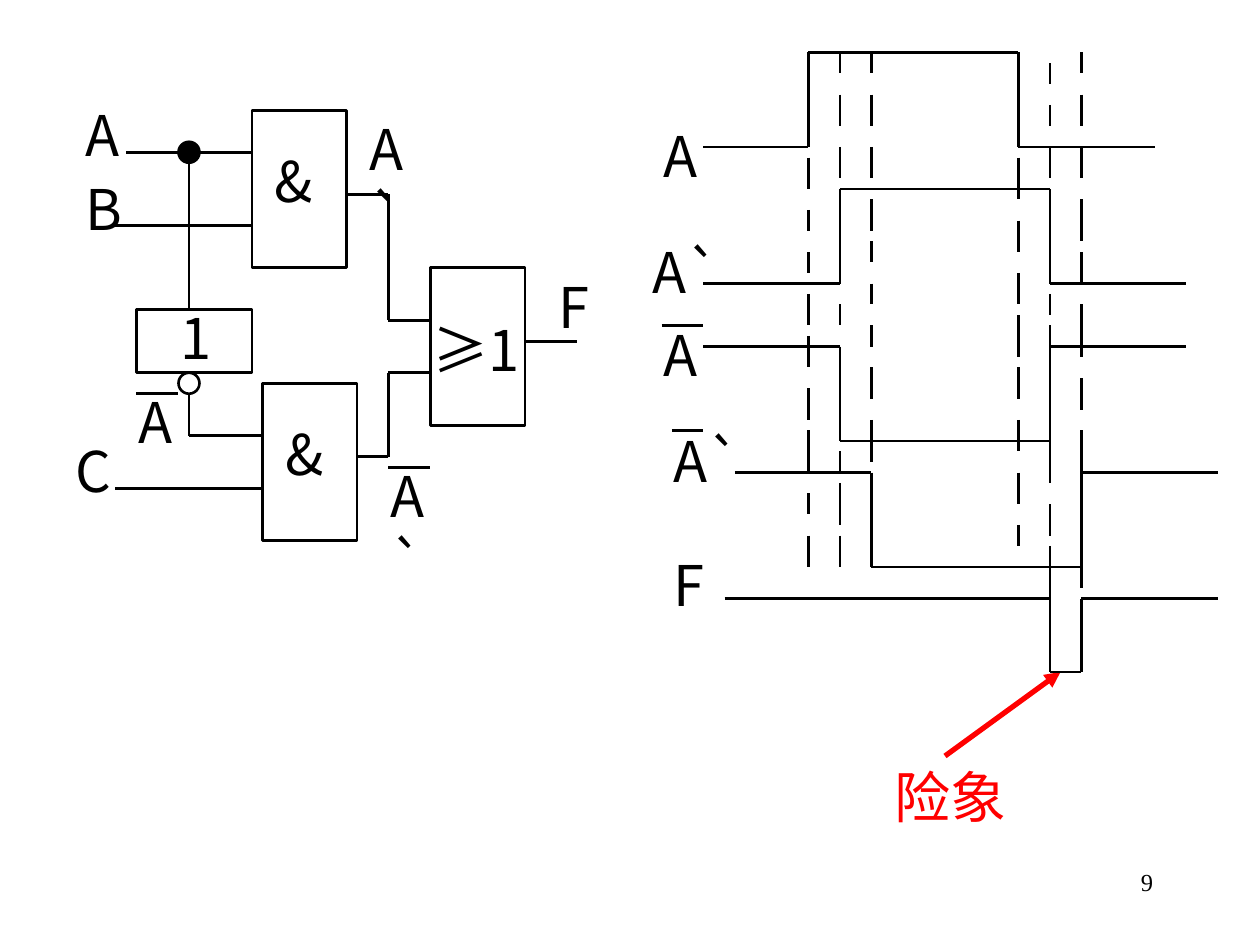
from itertools import pairwise

from lxml import etree
from pptx import Presentation
from pptx.dml.color import RGBColor
from pptx.enum.shapes import MSO_CONNECTOR, MSO_SHAPE
from pptx.enum.text import MSO_AUTO_SIZE, PP_ALIGN
from pptx.oxml.ns import qn
from pptx.util import Pt

STRAIGHT = MSO_CONNECTOR.STRAIGHT
RECTANGLE, OVAL = MSO_SHAPE.RECTANGLE, MSO_SHAPE.OVAL
GROW = MSO_AUTO_SIZE.SHAPE_TO_FIT_TEXT
RIGHT = PP_ALIGN.RIGHT

COLORS = {"ink": "000000", "hazard": "FF0000"}
SANS, SERIF = "Noto Sans CJK SC", "Times New Roman"

# Waveforms: start x, end x, first edge, second edge, resting y, pulse y
WAVEFORMS = [
    (402, 660, 462, 582, 84, 30),    # A
    (402, 678, 480, 600, 162, 108),  # A delayed
    (402, 678, 480, 600, 198, 252),  # not A
    (420, 696, 498, 618, 270, 324),  # not A delayed
    (414, 696, 600, 618, 342, 384),  # F
]

# Dashed guides: x of the edge and the top and bottom of each dash
GUIDES = {
    462: [(90, 108), (120, 132), (144, 156), (168, 186), (192, 210),
          (222, 240), (246, 270), (282, 294), (306, 324)],
    480: [(30, 42), (54, 72), (84, 102), (174, 186), (258, 270),
          (276, 300), (306, 324)],
    498: [(30, 42), (54, 72), (84, 102), (114, 132), (138, 150),
          (162, 174), (186, 198), (210, 228), (240, 264)],
    582: [(90, 114), (126, 144), (156, 174), (180, 204), (210, 228),
          (240, 258), (270, 288), (300, 312)],
    600: [(36, 48), (60, 72), (84, 102), (168, 180), (186, 198),
          (252, 276), (288, 306), (312, 324), (324, 342)],
    618: [(30, 42), (54, 72), (84, 102), (114, 138), (144, 162),
          (174, 204), (216, 234), (246, 270), (324, 336)],
}

# Labels: text, left, top, width
SIGNAL_LABELS = [
    ("A", 372, 66, 36), ("A`", 366, 132, 54), ("A", 372, 179.5, 30),
    ("A`", 378, 240, 60), ("F", 378, 311, 30),
]
CIRCUIT_LABELS = [
    ("&", 150, 80, 30), ("&", 156, 236, 30), ("1", 96, 170, 30),
    ("≥1", 240, 177, 84), ("A", 42, 54, 30), ("F", 312, 152, 30),
    ("B", 42, 96, 30), ("C", 36, 246, 30), ("A`", 204, 62, 47),
    ("A", 72, 218, 30), ("A`", 216, 260, 47),
]

# Negation bars: left, right, y
SIGNAL_BARS = [(384, 402, 246), (378, 402, 186)]
CIRCUIT_BARS = [(78, 102, 225), (222, 246, 267)]

# Gates: left, top, width, height
GATES = [(246, 153, 54, 90), (144, 63, 54, 90), (150, 219, 54, 90),
         (78, 177, 66, 36)]
WIRES = [
    [(144, 87), (72, 87)],                          # A input
    [(144, 129), (66, 129)],                        # B input
    [(108, 177), (108, 87)],                        # A to inverter
    [(108, 225), (108, 249), (150, 249)],           # inverter output
    [(150, 279), (66, 279)],                        # C input
    [(246, 183), (222, 183), (222, 111), (198, 111)],
    [(246, 213), (222, 213), (222, 261), (204, 261)],
    [(300, 195), (330, 195)],                       # F output
]


def rgb(role):
    return RGBColor.from_string(COLORS[role])


def add_line(canvas, start, end, role="ink", weight=1.5):
    line = canvas.add_connector(STRAIGHT, *map(Pt, start + end))
    line.line.color.rgb = rgb(role)
    line.line.width = Pt(weight)
    etree.SubElement(line._element.spPr, qn("a:effectLst"))
    return line


def add_path(canvas, points):
    for start, end in pairwise(points):
        add_line(canvas, start, end)


def add_bars(canvas, bars):
    for left, right, y in bars:
        add_line(canvas, (left, y), (right, y))


def add_outline(canvas, kind, box, filled=False):
    outline = canvas.add_shape(kind, *map(Pt, box))
    outline.shadow.inherit = False
    if filled:
        outline.fill.solid()
        outline.fill.fore_color.rgb = rgb("ink")
    else:
        outline.fill.background()
    outline.line.color.rgb = rgb("ink")
    outline.line.width = Pt(1.5)


def add_label(canvas, text, left, top, width, height=45, role="ink",
              size=32, face=SANS):
    label = canvas.add_textbox(Pt(left), Pt(top), Pt(width), Pt(height))
    frame = label.text_frame
    frame.word_wrap = True
    frame.text = text
    font = frame.paragraphs[0].runs[0].font
    font.size, font.name = Pt(size), face
    font.color.rgb = rgb(role)
    etree.SubElement(font._element, qn("a:ea"), typeface=face)
    return frame


def add_labels(canvas, labels):
    for label in labels:
        add_label(canvas, *label).auto_size = GROW


def add_hazard_note(canvas):
    add_labels(canvas, [("险象", 504, 432, 84, 45, "hazard")])
    pointer = add_line(canvas, (540, 432), (606, 384), "hazard", 3)
    etree.SubElement(pointer.line._get_or_add_ln(), qn("a:tailEnd"),
                     type="triangle")


def add_timing_diagram(canvas):
    for start, end, first, second, rest, pulse in WAVEFORMS:
        add_path(canvas, [(start, rest), (first, rest), (first, pulse),
                          (second, pulse), (second, rest), (end, rest)])
    for x, dashes in GUIDES.items():
        for top, bottom in dashes:
            add_line(canvas, (x, top), (x, bottom))
    add_labels(canvas, SIGNAL_LABELS)
    add_bars(canvas, SIGNAL_BARS)


def add_circuit(canvas):
    for gate in GATES:
        add_outline(canvas, RECTANGLE, gate)
    for wire in WIRES:
        add_path(canvas, wire)
    add_outline(canvas, OVAL, (102, 213, 12, 12))               # inverter bubble
    add_labels(canvas, CIRCUIT_LABELS)
    add_bars(canvas, CIRCUIT_BARS)
    add_outline(canvas, OVAL, (102, 81, 12, 12), filled=True)   # junction


def main():
    deck = Presentation()
    deck.slide_width, deck.slide_height = Pt(720), Pt(540)
    slide = deck.slides.add_slide(deck.slide_layouts[6])

    # Slide number
    number = add_label(slide.shapes, "9", 516, 492, 150, 36, size=14, face=SERIF)
    number.paragraphs[0].alignment = RIGHT

    # One group for each part of the drawing
    for add_part in (add_hazard_note, add_timing_diagram, add_circuit):
        add_part(slide.shapes.add_group_shape().shapes)

    deck.save("out.pptx")


if __name__ == "__main__":
    main()
